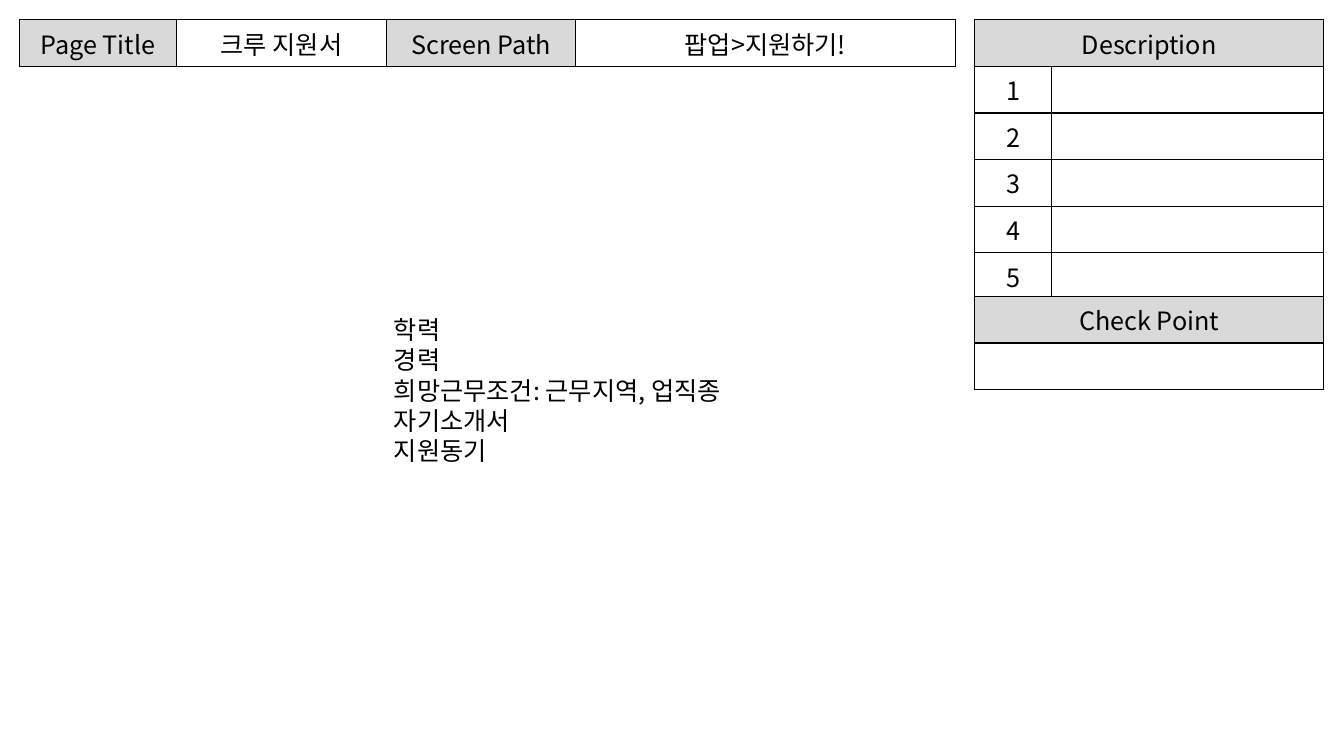
"""Build the storyboard slide for the crew application popup."""
from lxml import etree
from pptx import Presentation
from pptx import util as u
from pptx.dml.color import RGBColor
from pptx.enum import text
from pptx.oxml.ns import qn

FONT = "Noto Sans CJK KR"
BLACK, GREY = "000000", "D9D9D9"


def style_paragraph(paragraph, alignment):
    paragraph.alignment = alignment
    paragraph.font.size = u.Pt(18)
    paragraph.font.name = FONT
    paragraph.font.color.rgb = RGBColor.from_string(BLACK)
    properties = paragraph._p.pPr.find(qn("a:defRPr"))
    etree.SubElement(properties, qn("a:ea")).set("typeface", FONT)


def add_grid(left, top, widths, row_height, rows, grey_cells):
    frame = slide.shapes.add_table(len(rows), len(widths), u.Cm(left), u.Cm(top),
                                   u.Cm(sum(widths)), u.Cm(row_height * len(rows)))
    table = frame.table
    table.first_row = table.horz_banding = False
    for column, width in zip(table.columns, widths):
        column.width = u.Cm(width)
    for r, row in enumerate(rows):
        table.rows[r].height = u.Cm(row_height)
        for c, label in enumerate(row):
            cell = table.cell(r, c)
            cell.vertical_anchor = text.MSO_ANCHOR.MIDDLE
            cell.text = label
            style_paragraph(cell.text_frame.paragraphs[0], text.PP_ALIGN.CENTER)
            for side in ("lnL", "lnR", "lnT", "lnB"):
                line = etree.SubElement(cell._tc.get_or_add_tcPr(), qn(f"a:{side}"), w="12700")
                fill = etree.SubElement(line, qn("a:solidFill"))
                etree.SubElement(fill, qn("a:srgbClr"), val=BLACK)
            if (r, c) in grey_cells:
                cell.fill.solid()
                cell.fill.fore_color.rgb = RGBColor.from_string(GREY)
            else:
                cell.fill.background()
    return table


presentation = Presentation()
presentation.slide_width = u.Cm(33.87)
presentation.slide_height = u.Cm(19.05)
slide = presentation.slides.add_slide(presentation.slide_layouts[6])

description_rows = [["Description", ""]] + [[str(number), ""] for number in range(1, 6)]
description = add_grid(24.56, 0.5, [1.94, 6.86], 1.05, description_rows, {(0, 0), (0, 1)})
description.cell(0, 0).merge(description.cell(0, 1))

add_grid(24.56, 7.47, [8.8], 1.03, [["Check Point"], [""]], {(0, 0)})

header = ["Page Title", "크루 지원서", "Screen Path", "팝업>지원하기!"]
add_grid(0.5, 0.5, [3.94, 5.31, 4.75, 9.58], 1.02, [header], {(0, 0), (0, 2)})

fields = ["학력", "경력", "희망근무조건: 근무지역, 업직종", "자기소개서", "지원동기"]
field_box = slide.shapes.add_textbox(u.Cm(9.68), u.Cm(7.8), u.Cm(10.8), u.Cm(4.11))
field_box.text_frame.word_wrap = True
field_box.text_frame.auto_size = text.MSO_AUTO_SIZE.SHAPE_TO_FIT_TEXT
field_box.text_frame.text = "\n".join(fields)
for paragraph in field_box.text_frame.paragraphs:
    style_paragraph(paragraph, text.PP_ALIGN.LEFT)

presentation.save("out.pptx")
